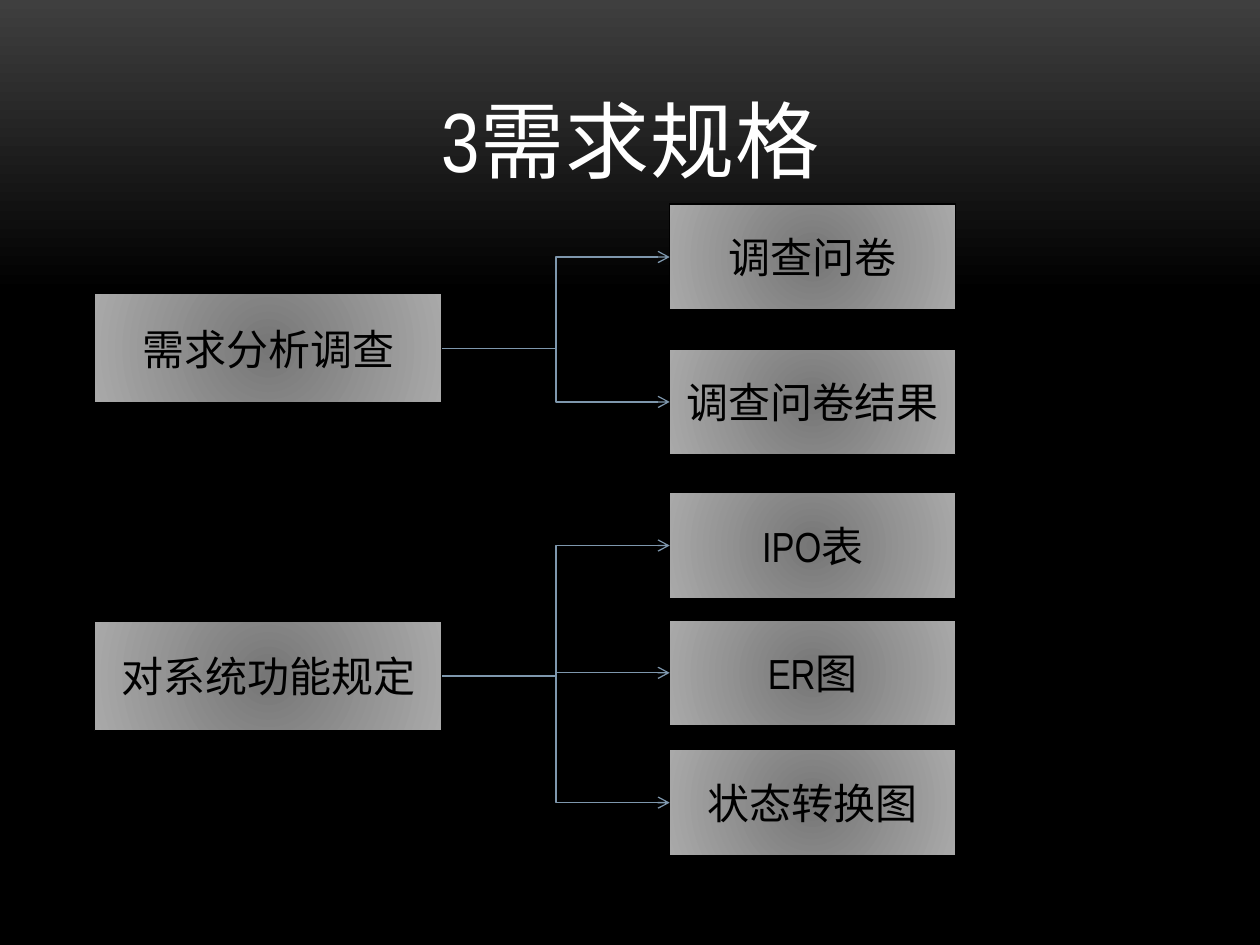
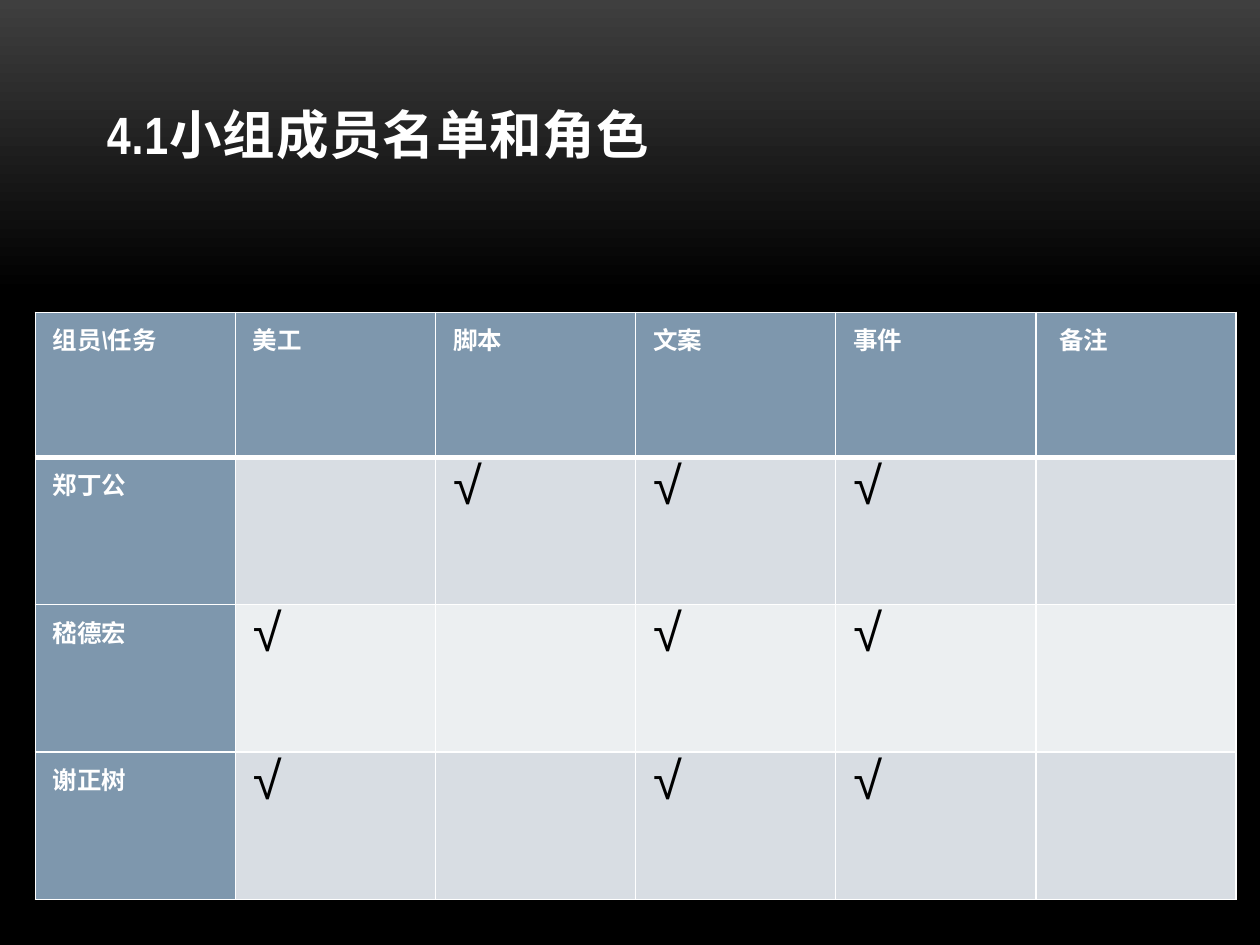
from dataclasses import dataclass

from lxml import etree
from pptx import Presentation
from pptx.dml.color import RGBColor
from pptx.enum.shapes import MSO_CONNECTOR, MSO_SHAPE
from pptx.enum.text import MSO_ANCHOR, PP_ALIGN
from pptx.oxml import parse_xml
from pptx.oxml.ns import nsdecls, qn
from pptx.util import Inches, Pt


@dataclass(frozen=True)
class Theme:
    """Colours, font and type sizes shared by both slides."""
    font: str = "Arial Narrow"
    light: str = "FFFFFF"
    dark: str = "000000"
    glow: str = "3F3F3F"
    box_center: str = "767676"
    box_edge: str = "A9A9A9"
    accent: str = "7E97AD"
    bands: tuple = ("D8DDE3", "ECEFF1")
    title: int = 48
    subtitle: int = 30
    box: int = 24
    label: int = 14
    tick: int = 30


theme = Theme()
rgb = RGBColor.from_string

prs = Presentation()
prs.slide_width, prs.slide_height = Inches(10), Inches(7.5)
COL = prs.slide_width / 100
ROW = prs.slide_height / 75


def write(tf, text, size, color, align=PP_ALIGN.CENTER, bold=False, spacing=None):
    """Put one formatted run into a text frame."""
    tf.word_wrap = True
    p = tf.paragraphs[0]
    p.alignment = align
    r = p.add_run()
    r.text = text
    r.font.name, r.font.size, r.font.bold = theme.font, Pt(size), bold
    r.font.color.rgb = rgb(color)
    if spacing:
        r._r.get_or_add_rPr().set("spc", str(int(spacing * 100)))


def add_slide(title, left, top, bottom_inset=0.5, **fmt):
    """Add a slide with the shared background and a bottom-anchored title."""
    s = prs.slides.add_slide(prs.slide_layouts[6])
    fill = s.background.fill
    fill.gradient()
    fill.gradient_angle = 270
    for stop, color, position in zip(fill.gradient_stops, (theme.glow, theme.dark), (0, 0.31)):
        stop.color.rgb, stop.position = rgb(color), position
    tf = s.shapes.add_textbox(*map(int, (left * COL, top * ROW, 86.7 * COL, 12.5 * ROW))).text_frame
    tf.vertical_anchor = MSO_ANCHOR.BOTTOM
    tf.margin_bottom = int(bottom_inset * ROW)
    write(tf, title, color=theme.light, spacing=0.5, **fmt)
    return s


# Slide 1: two topics, each branching to its documents
s = add_slide("3需求规格", 6.7, 3, size=theme.title)
TOPIC = dict(left=7.5, width=27.6, height=8.7)
LEAF = dict(left=53.15, width=22.7, height=8.4)
branches = [
    ("需求分析调查", 23.3, [("调查问卷", 16.2), ("调查问卷结果", 27.7)]),
    ("对系统功能规定", 49.3, [("IPO表", 39.1), ("ER图", 49.2), ("状态转换图", 59.5)]),
]
for topic, topic_top, leaves in branches:
    boxes = []
    for text, top, size in [(topic, topic_top, TOPIC)] + [(t, y, LEAF) for t, y in leaves]:
        sp = s.shapes.add_shape(MSO_SHAPE.RECTANGLE, *map(int, (
            size["left"] * COL, top * ROW, size["width"] * COL, size["height"] * ROW)))
        sp.shadow.inherit = False
        sp.line.color.rgb, sp.line.width = rgb(theme.dark), Pt(0.75)
        sp.fill.gradient()
        for stop, color in zip(sp.fill.gradient_stops, (theme.box_center, theme.box_edge)):
            stop.color.rgb = rgb(color)
        lin = sp._element.spPr.find(qn("a:gradFill")).find(qn("a:lin"))
        lin.getparent().replace(lin, parse_xml(
            f'<a:path {nsdecls("a")} path="circle">'
            '<a:fillToRect l="100000" t="100000" r="100000" b="100000"/></a:path>'))
        sp.text_frame.vertical_anchor = MSO_ANCHOR.MIDDLE
        write(sp.text_frame, text, theme.box, theme.dark)
        boxes.append(sp)
    for leaf in boxes[1:]:
        cxn = s.shapes.add_connector(MSO_CONNECTOR.ELBOW, 0, 0, 0, 0)
        cxn.begin_connect(boxes[0], 3)
        cxn.end_connect(leaf, 1)
        cxn.line.color.rgb, cxn.line.width = rgb(theme.accent), Pt(0.75)
        etree.SubElement(cxn.line._get_or_add_ln(), qn("a:tailEnd"), type="arrow")
        etree.SubElement(cxn._element.spPr, qn("a:effectLst"))

# Slide 2: team members and their roles
s = add_slide("4.1小组成员名单和角色", 7.5, 6, bottom_inset=5.4,
              size=theme.subtitle, align=PP_ALIGN.LEFT, bold=True)
TICK = "√"
rows = [
    ["组员\\任务", "美工", "脚本", "文案", "事件", "\u00a0备注"],
    ["郑丁公", "", TICK, TICK, TICK, ""],
    ["嵇德宏", TICK, "", TICK, TICK, ""],
    ["谢正树", TICK, "", TICK, TICK, ""],
]
frame = s.shapes.add_table(len(rows), len(rows[0]), *map(int, (
    2.8 * COL, 24.8 * ROW, 95.3 * COL, 46.6 * ROW)))
table = frame.table
for i, row in enumerate(rows):
    table.rows[i].height = int((11.5 if i == 0 else 11.7) * ROW)
    for j, text in enumerate(row):
        cell = table.cell(i, j)
        heading = i == 0 or j == 0
        widths = {"L": 1, "R": 1, "T": 3 if i == 1 else 1, "B": 3 if i == 0 else 1}
        for side, width in widths.items():
            ln = etree.SubElement(cell._tc.get_or_add_tcPr(), qn(f"a:ln{side}"), w=str(Pt(width)))
            solid = etree.SubElement(ln, qn("a:solidFill"))
            etree.SubElement(solid, qn("a:srgbClr"), val=theme.light)
        cell.fill.solid()
        cell.fill.fore_color.rgb = rgb(theme.accent if heading else theme.bands[(i - 1) % 2])
        cell.margin_left = cell.margin_right = int(1.4 * COL)
        cell.margin_top = cell.margin_bottom = int(0.7 * ROW)
        if text:
            write(cell.text_frame, text, theme.label if heading else theme.tick,
                  theme.light if heading else theme.dark, PP_ALIGN.JUSTIFY, bold=heading)

prs.save("out.pptx")
